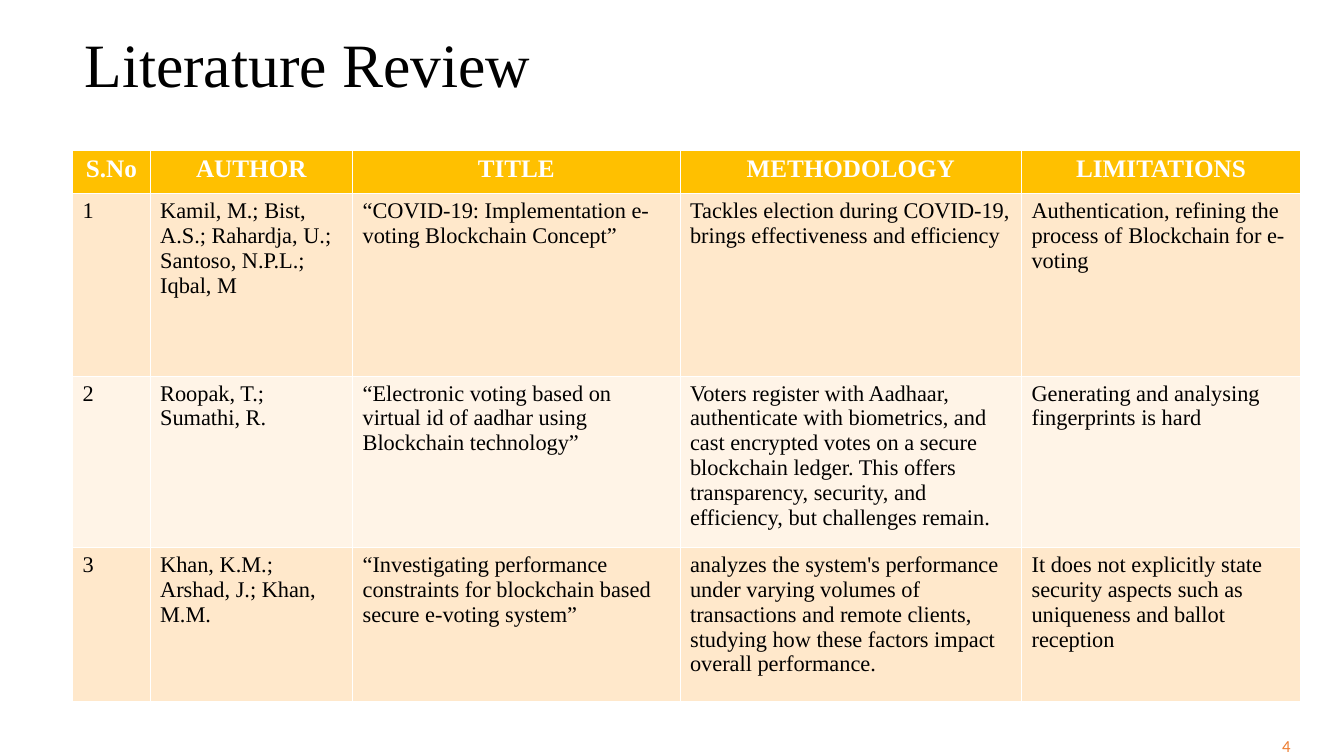
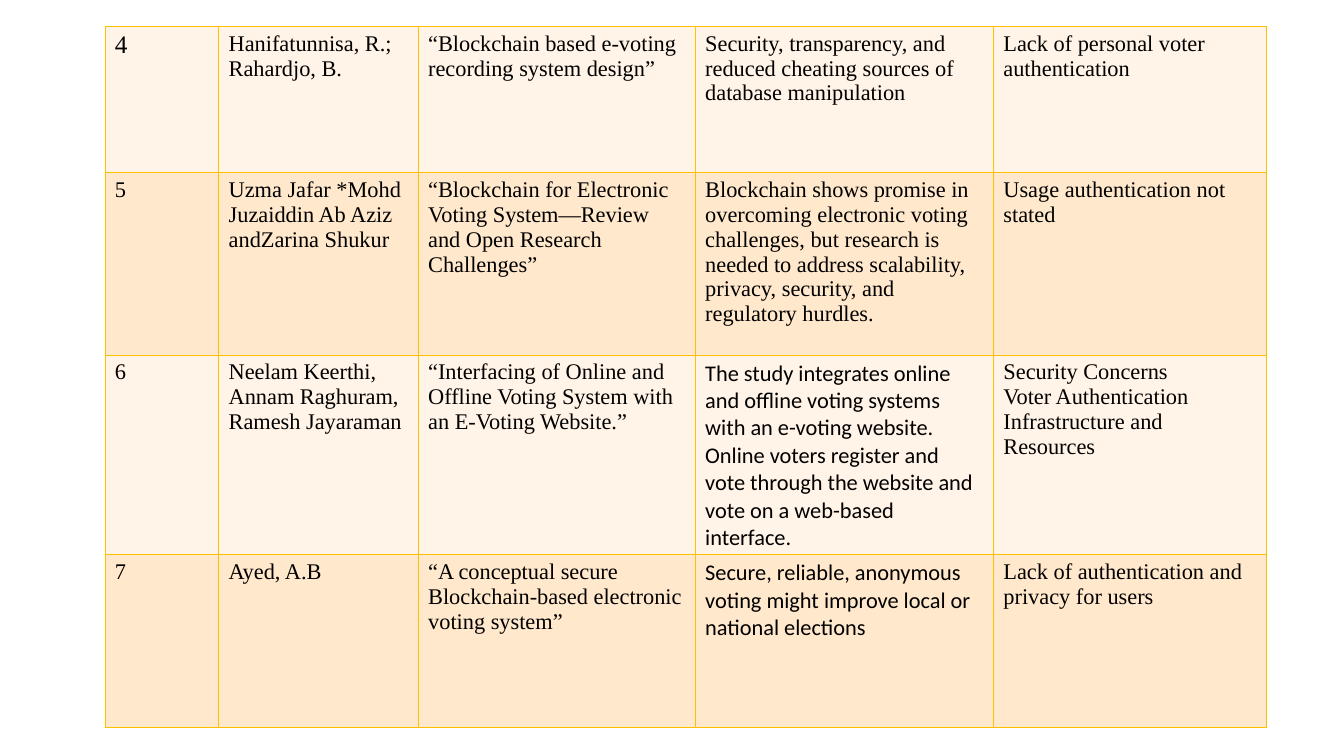
from lxml.etree import SubElement
from pptx import Presentation
from pptx.dml.color import RGBColor
from pptx.enum.text import MSO_ANCHOR, PP_ALIGN
from pptx.oxml.ns import qn
from pptx.util import Inches, Pt

GOLD = RGBColor(0xFF, 0xC0, 0x00)
PEACH = RGBColor(0xFF, 0xE8, 0xCB)
CREAM = RGBColor(0xFF, 0xF4, 0xE7)
WHITE = RGBColor(0xFF, 0xFF, 0xFF)
BLACK = RGBColor(0x00, 0x00, 0x00)
ORANGE = RGBColor(0xED, 0x7D, 0x31)

SERIF = "Times New Roman"
SANS = "Calibri"
TITLE = {"name": SERIF, "size": Pt(44), "bold": False}
HEAD = {"name": SERIF, "size": Pt(18), "bold": True}
BODY = {"name": SERIF, "size": Pt(16), "bold": False}
FOOT = {"name": SANS, "size": Pt(12), "bold": False}
THIN, THICK = Pt(0.45), Pt(1.47)

HEADS = ["S.No", "AUTHOR", "TITLE", "METHODOLOGY", "LIMITATIONS"]
EARLY = [
    ["Kamil, M.; Bist, A.S.; Rahardja, U.; Santoso, N.P.L.; Iqbal, M",
     "“COVID-19: Implementation e-voting Blockchain Concept”",
     "Tackles election during COVID-19, brings effectiveness and efficiency",
     "Authentication, refining the process of Blockchain for e-voting"],
    ["Roopak, T.; Sumathi, R.",
     "“Electronic voting based on virtual id of aadhar using Blockchain technology”",
     "Voters register with Aadhaar, authenticate with biometrics, and cast encrypted "
     "votes on a secure blockchain ledger. This offers transparency, security, and "
     "efficiency, but challenges remain.",
     "Generating and analysing fingerprints is hard"],
    ["Khan, K.M.; Arshad, J.; Khan, M.M.",
     "“Investigating performance constraints for blockchain based secure e-voting system”",
     "analyzes the system's performance under varying volumes of transactions and "
     "remote clients, studying how these factors impact overall performance.",
     "It does not explicitly state security aspects such as uniqueness and ballot reception"],
]
LATER = [
    ["Hanifatunnisa, R.; Rahardjo, B.",
     "“Blockchain based e-voting recording system design”",
     "Security, transparency, and reduced cheating sources of database manipulation",
     "Lack of personal voter authentication"],
    ["Uzma Jafar *Mohd Juzaiddin Ab Aziz andZarina Shukur",
     "“Blockchain for Electronic Voting System—Review and Open Research Challenges”",
     "Blockchain shows promise in overcoming electronic voting challenges, but research "
     "is needed to address scalability, privacy, security, and regulatory hurdles.",
     "Usage authentication not stated"],
    ["Neelam Keerthi, Annam Raghuram, Ramesh Jayaraman",
     "“Interfacing of Online and Offline Voting System with an E-Voting Website.”",
     "The study integrates online and offline voting systems with an e-voting website. "
     "Online voters register and vote through the website and vote on a web-based interface.",
     "Security Concerns\nVoter Authentication\nInfrastructure and Resources"],
    ["Ayed, A.B",
     "“A conceptual secure Blockchain-based electronic voting system”",
     "Secure, reliable, anonymous voting might improve local or national elections",
     "Lack of authentication and privacy for users"],
]


class Deck:
    """Hold the shared style and the current slide."""

    def __init__(self):
        """Start an empty wide deck."""
        self.file = Presentation()
        self.file.slide_width = Inches(13.34)
        self.file.slide_height = Inches(7.5)
        self.slide = None

    def page(self):
        """Add a blank slide and make it current."""
        self.slide = self.file.slides.add_slide(self.file.slide_layouts[6])

    def style(self, frame, form, color, align=PP_ALIGN.LEFT):
        """Format every paragraph of a text frame."""
        for para in frame.paragraphs:
            para.alignment = align
            para.font.color.rgb = color
            for key, value in form.items():
                setattr(para.font, key, value)

    def text(self, words, box, form, color, align=PP_ALIGN.LEFT, lead=1.0):
        """Add a text box with centred anchor."""
        frame = self.slide.shapes.add_textbox(*map(Inches, box)).text_frame
        frame.word_wrap = True
        frame.vertical_anchor = MSO_ANCHOR.MIDDLE
        frame.text = words
        frame.paragraphs[0].line_spacing = lead
        self.style(frame, form, color, align)

    def border(self, cell, color, widths):
        """Draw the left, right, top and bottom lines of a cell."""
        props = cell._tc.get_or_add_tcPr()
        for side, width in zip("LRTB", widths):
            line = SubElement(props, qn(f"a:ln{side}"), w=str(int(width)))
            fill = SubElement(line, qn("a:solidFill"))
            SubElement(fill, qn("a:srgbClr"), val=str(color))

    def cell(self, cell, words, fill, line, widths):
        """Fill one cell with text, colour and borders."""
        cell.text = words
        self.border(cell, line, widths)
        cell.fill.solid()
        cell.fill.fore_color.rgb = fill

    def table(self, spot, cols, rows, data, first, line, heads=None, forms=None):
        """Add a table of numbered papers, shaded by odd and even number."""
        forms = forms or {}
        lines = [[str(num), *row] for num, row in enumerate(data, first)]
        if heads:
            lines.insert(0, heads)
        box = (*spot, sum(cols), sum(rows))
        grid = self.slide.shapes.add_table(len(rows), len(cols), *map(Inches, box)).table
        grid.first_row = bool(heads)
        grid.horz_banding = False
        for col, width in zip(grid.columns, cols):
            col.width = Inches(width)
        for r, (row, height) in enumerate(zip(grid.rows, rows)):
            row.height = Inches(height)
            for c, cell in enumerate(row.cells):
                words = lines[r][c]
                if heads and r == 0:
                    self.cell(cell, words, GOLD, line, (THIN, THIN, THIN, THICK))
                    self.style(cell.text_frame, HEAD, WHITE, PP_ALIGN.CENTER)
                    continue
                fill = PEACH if int(lines[r][0]) % 2 else CREAM
                top = THICK if heads and r == 1 else THIN
                self.cell(cell, words, fill, line, (THIN, THIN, top, THIN))
                self.style(cell.text_frame, BODY | forms.get((r, c), {}), BLACK)


def main():
    """Build and save both slides."""
    deck = Deck()
    deck.page()
    deck.text("Literature Review", (0.74, 0.09, 12.08, 1.16), TITLE, BLACK, lead=0.9)
    deck.text("4", (11.76, 7.2, 1.15, 0.4), FOOT, ORANGE, PP_ALIGN.RIGHT)
    deck.table((0.72, 1.49), (0.77, 2.01, 3.25, 3.39, 2.77), (0.43, 1.81, 1.7, 1.53),
               EARLY, 1, WHITE, heads=HEADS)

    deck.page()
    deck.table((1.04, 0.26), (1.13, 1.98, 2.75, 2.96, 2.71), (1.45, 1.81, 1.98, 1.72),
               LATER, 4, GOLD,
               forms={(0, 0): {"size": Pt(18)}, (2, 3): {"name": SANS}, (3, 3): {"name": SANS}})
    deck.file.save("out.pptx")


if __name__ == "__main__":
    main()
